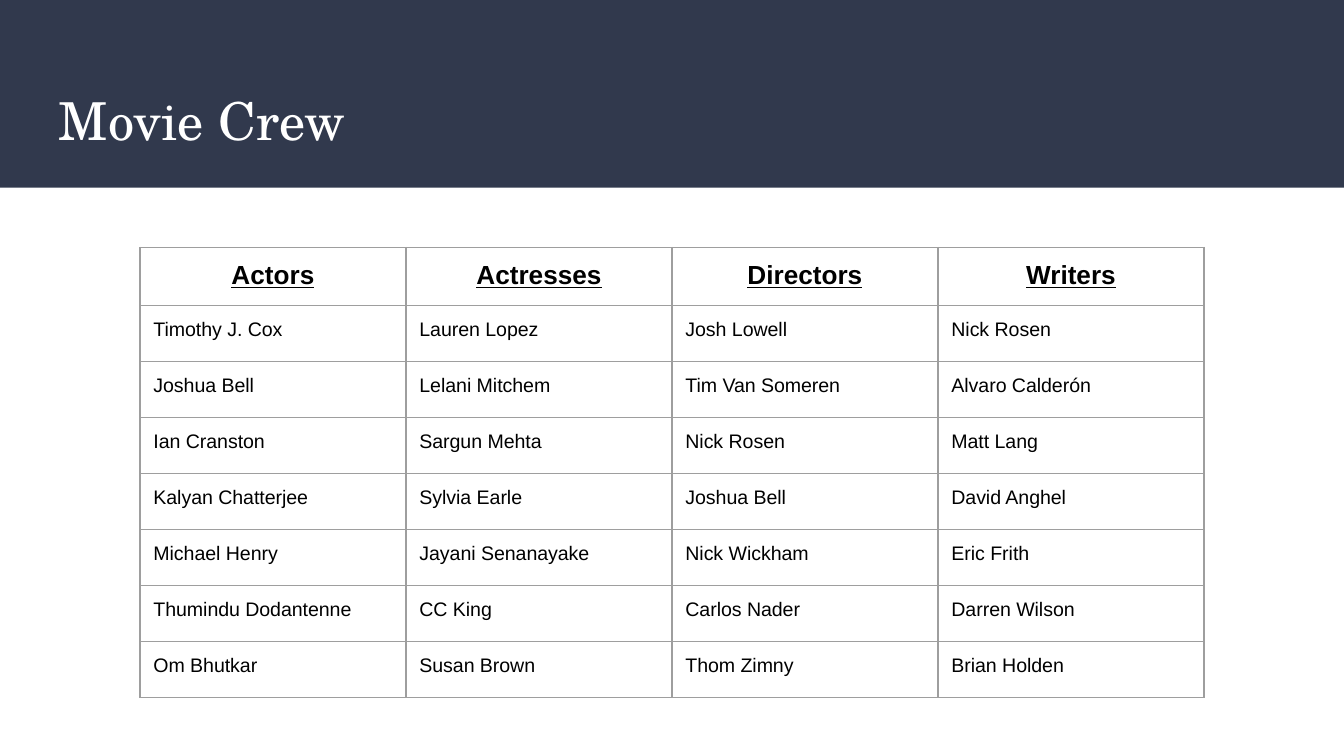
from lxml import etree
from pptx import Presentation
from pptx.dml.color import RGBColor
from pptx.enum.shapes import MSO_SHAPE
from pptx.enum.text import MSO_ANCHOR, PP_ALIGN
from pptx.oxml.ns import qn
from pptx.util import Pt

RECT = MSO_SHAPE.RECTANGLE
MIDDLE = MSO_ANCHOR.MIDDLE
CENTER, LEFT = PP_ALIGN.CENTER, PP_ALIGN.LEFT
PAD = Pt(7.2)

CREW = [
    ["Actors", "Actresses", "Directors", "Writers"],
    ["Timothy J. Cox", "Lauren Lopez", "Josh Lowell", "Nick Rosen"],
    ["Joshua Bell", "Lelani Mitchem", "Tim Van Someren", "Alvaro Calderón"],
    ["Ian Cranston", "Sargun Mehta", "Nick Rosen", "Matt Lang"],
    ["Kalyan Chatterjee", "Sylvia Earle", "Joshua Bell", "David Anghel"],
    ["Michael Henry", "Jayani Senanayake", "Nick Wickham", "Eric Frith"],
    ["Thumindu Dodantenne", "CC King", "Carlos Nader", "Darren Wilson"],
    ["Om Bhutkar", "Susan Brown", "Thom Zimny", "Brian Holden"],
]


def color(code):
    return RGBColor.from_string(code)


def add_run(para, text, size, face, code):
    run = para.add_run()
    run.text = text
    run.font.size = Pt(size)
    run.font.name = face
    run.font.color.rgb = color(code)
    return run


prs = Presentation()
prs.slide_width, prs.slide_height = Pt(720), Pt(405)
slide = prs.slides.add_slide(prs.slide_layouts[6])

# Header band
band = slide.shapes.add_shape(RECT, 0, 0, Pt(720), Pt(100.5))
band.shadow.inherit = False
band.fill.solid()
band.fill.fore_color.rgb = color("31394D")
band.line.fill.background()

# Title
title = slide.shapes.add_textbox(Pt(24.5), Pt(39.6), Pt(671), Pt(49))
frame = title.text_frame
frame.word_wrap = True
frame.vertical_anchor = MIDDLE
frame.margin_left = frame.margin_right = PAD
frame.margin_top = frame.margin_bottom = PAD
add_run(frame.paragraphs[0], "Movie Crew", 28, "TeX Gyre Schola", "FFFFFF")

# Crew table
rows, cols = len(CREW), len(CREW[0])
table = slide.shapes.add_table(rows, cols, Pt(75), Pt(132.6),
                               Pt(142.5 * cols), Pt(30 * rows)).table
table.horz_banding = False
for col in table.columns:
    col.width = Pt(142.5)

for r, names in enumerate(CREW):
    table.rows[r].height = Pt(30)
    head = r == 0
    for c, name in enumerate(names):
        cell = table.cell(r, c)
        cell.margin_left = cell.margin_right = PAD
        cell.margin_top = cell.margin_bottom = PAD
        para = cell.text_frame.paragraphs[0]
        para.alignment = CENTER if head else LEFT
        run = add_run(para, name, 14 if head else 10.5, "Arial", "000000")
        run.font.bold = run.font.underline = head

        # Cell borders
        props = cell._tc.get_or_add_tcPr()
        for side in ("a:lnL", "a:lnR", "a:lnT", "a:lnB"):
            line = etree.SubElement(props, qn(side), w=str(Pt(0.75)))
            fill = etree.SubElement(line, qn("a:solidFill"))
            etree.SubElement(fill, qn("a:srgbClr"), val="9E9E9E")
        cell.fill.background()

prs.save("out.pptx")
